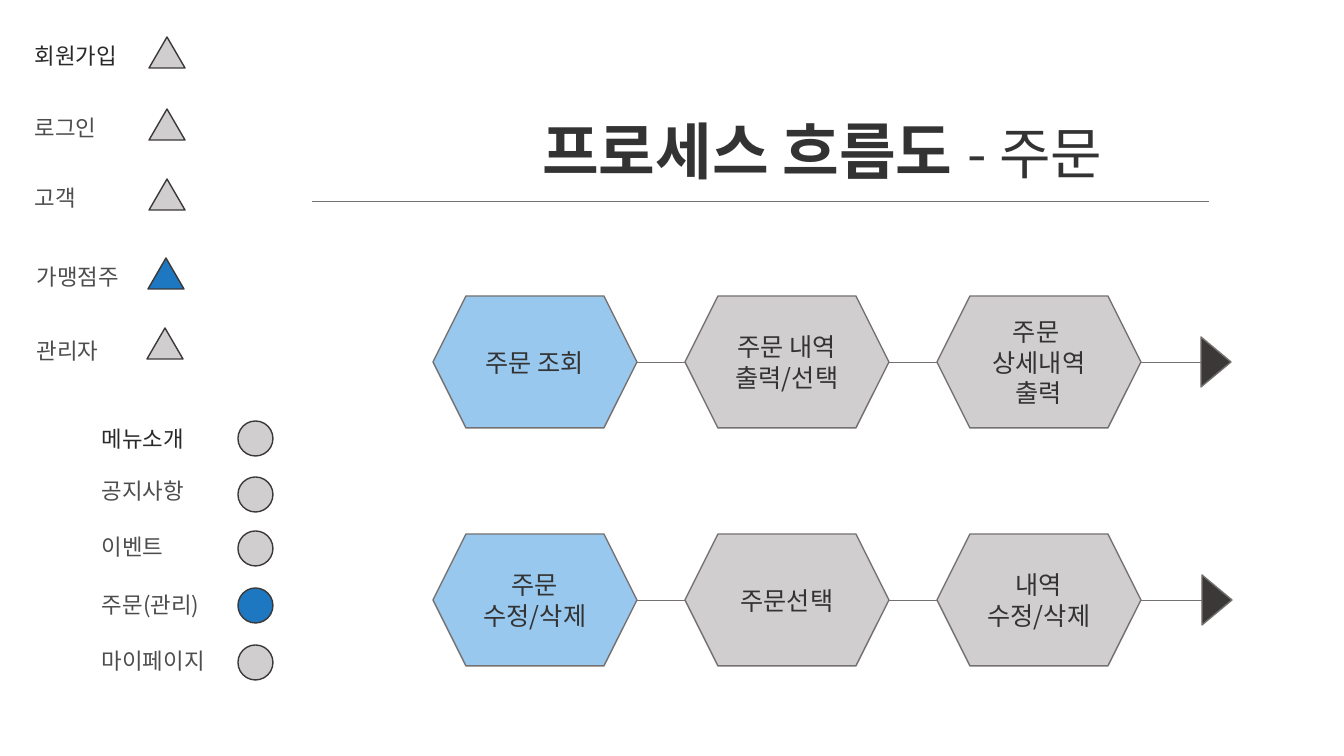
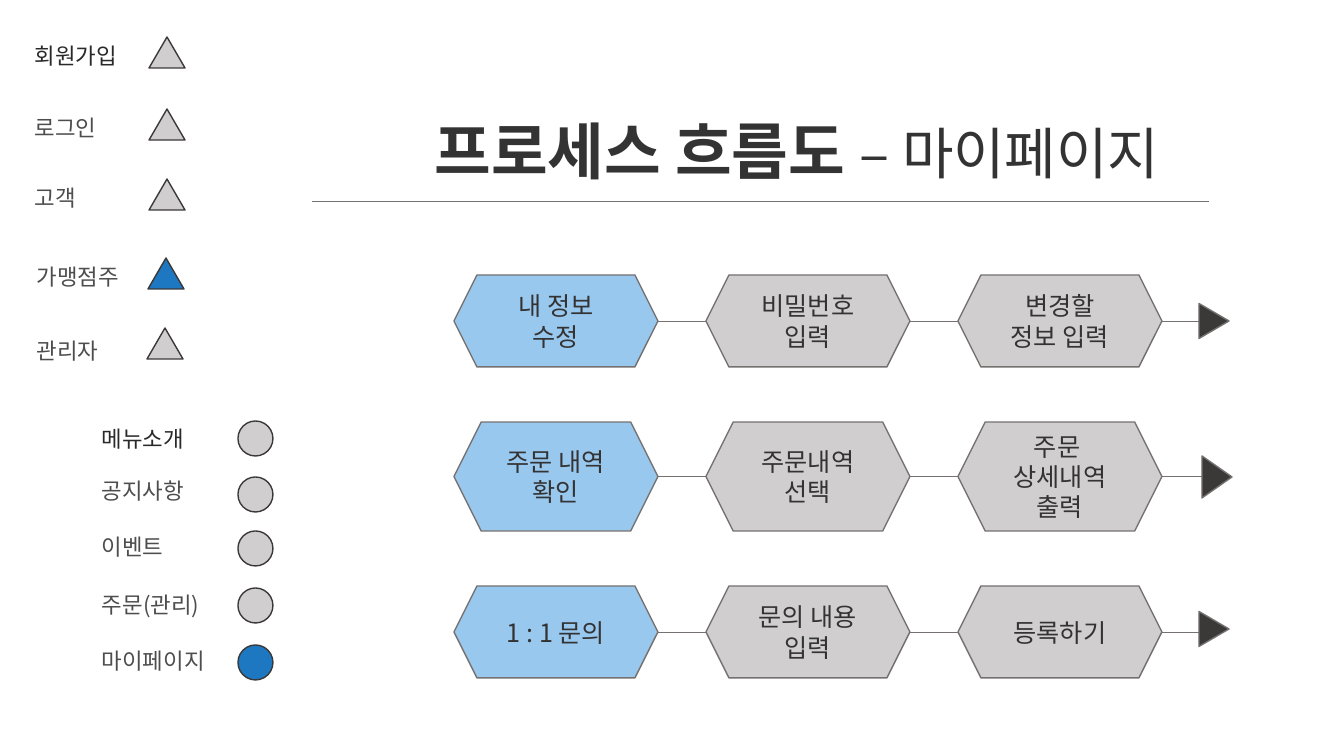
"""Build two order-process flow slides that share a sidebar, a title style and hexagon rows."""
from lxml import etree
from pptx import Presentation
from pptx.dml.color import RGBColor
from pptx.enum.shapes import MSO_CONNECTOR, MSO_SHAPE
from pptx.enum.text import MSO_ANCHOR, MSO_AUTO_SIZE, PP_ALIGN
from pptx.oxml.ns import qn
from pptx.util import Emu, Pt

TRIANGLE = MSO_SHAPE.ISOSCELES_TRIANGLE
OVAL = MSO_SHAPE.OVAL
HEXAGON = MSO_SHAPE.HEXAGON
STRAIGHT = MSO_CONNECTOR.STRAIGHT
CENTER = PP_ALIGN.CENTER
TOP = MSO_ANCHOR.TOP
GROW = MSO_AUTO_SIZE.SHAPE_TO_FIT_TEXT

FONT = "Noto Sans CJK KR"
GRAY = RGBColor(0xD0, 0xCE, 0xCE)
BLUE = RGBColor(0x1D, 0x77, 0xC1)
LIGHT_BLUE = RGBColor(0x99, 0xC8, 0xEF)
CHARCOAL = RGBColor(0x3B, 0x38, 0x38)
RULE_GRAY = RGBColor(0x76, 0x71, 0x71)
INK = RGBColor(0x33, 0x33, 0x33)
LABEL_FIRST = RGBColor(0x29, 0x29, 0x29)
LABEL_GRAY = RGBColor(0x4D, 0x4D, 0x4D)

SLIDE_WIDTH, SLIDE_HEIGHT = 1344, 756
PIXEL = 12192000 / SLIDE_WIDTH
HEX_WIDTH, HEX_PITCH = 204, 252
ARROW_DEPTH = 30

# label, label left, label top, marker left, marker top
ROLES = [
    ("회원가입", 25, 37, 149, 37),
    ("로그인", 25, 109, 149, 109),
    ("고객", 25, 179, 149, 179),
    ("가맹점주", 27, 258, 148, 258),
    ("관리자", 27, 332, 147, 328),
]
MENUS = [
    ("메뉴소개", 92, 420, 238, 421),
    ("공지사항", 92, 472, 238, 477),
    ("이벤트", 92, 528, 238, 531),
    ("주문(관리)", 92, 586, 238, 588),
    ("마이페이지", 92, 642, 238, 645),
]
SIDEBAR = [
    (ROLES, TRIANGLE, (36, 31), 128),
    (MENUS, OVAL, (35, 35), 159),
]

# each row: top, height, (arrow left, arrow middle, arrow height), steps
SLIDES = [
    {
        "topic": "- 주문",
        "title_box": (436, 108, 772, 85),
        "active": ("가맹점주", "주문(관리)"),
        "left": 433,
        "rows": [
            (296, 132, (1201, 362, 50),
             ["주문 조회", "주문 내역\n출력/선택", "주문 \n상세내역\n출력"]),
            (534, 132, (1202, 600, 50),
             ["주문\n수정/삭제", "주문선택", "내역\n수정/삭제"]),
        ],
    },
    {
        "topic": "– 마이페이지",
        "title_box": (384, 108, 826, 85),
        "active": ("가맹점주", "마이페이지"),
        "left": 454,
        "rows": [
            (275, 92, (1199, 321, 35),
             ["내 정보\n수정", "비밀번호\n입력", "변경할\n정보 입력"]),
            (422, 109, (1202, 477, 42),
             ["주문 내역\n확인", "주문내역\n선택", "주문 \n상세내역\n출력"]),
            (586, 92, (1199, 629, 35),
             ["1 : 1 문의", "문의 내용\n입력", "등록하기"]),
        ],
    },
]


def px(length):
    return Emu(round(length * PIXEL))


def style_paragraph(para, color, size=None, align=None):
    para.alignment = align
    para.font.name = FONT
    para.font.size = Pt(size) if size else None
    para.font.color.rgb = color
    defaults = para._p.pPr.find(qn("a:defRPr"))
    etree.SubElement(defaults, qn("a:ea")).set("typeface", FONT)


def add_figure(page, kind, box, fill, edge):
    shape = page.shapes.add_shape(kind, *map(px, box))
    shape.shadow.inherit = False
    shape.fill.solid()
    shape.fill.fore_color.rgb = fill
    shape.line.color.rgb = edge
    shape.line.width = Pt(1)
    return shape


def add_rule(page, start, end, middle):
    rule = page.shapes.add_connector(STRAIGHT, px(start), px(middle), px(end), px(middle))
    rule.line.color.rgb = RULE_GRAY
    rule.line.width = Pt(0.5)
    etree.SubElement(rule._element.spPr, qn("a:effectLst"))


def add_label(page, text, box, color):
    frame = page.shapes.add_textbox(*map(px, box)).text_frame
    frame.word_wrap = True
    frame.auto_size = GROW
    frame.text = text
    style_paragraph(frame.paragraphs[0], color, 16)


def add_sidebar(page, active):
    for entries, kind, size, label_width in SIDEBAR:
        for index, (text, label_left, label_top, left, top) in enumerate(entries):
            fill = BLUE if text in active else GRAY
            add_figure(page, kind, (left, top, *size), fill, CHARCOAL)
            color = LABEL_GRAY if index else LABEL_FIRST
            add_label(page, text, (label_left, label_top, label_width, 37), color)


def add_title(page, topic, box):
    title = page.shapes.title
    title.left, title.top, title.width, title.height = map(px, box)
    frame = title.text_frame
    frame.word_wrap = True
    frame.auto_size = GROW
    frame.vertical_anchor = TOP
    para = frame.paragraphs[0]
    style_paragraph(para, INK, align=CENTER)
    for text, size, bold in (("프로세스 흐름도 ", 44, True), (topic, 40, False)):
        span = para.add_run()
        span.text = text
        span.font.size = Pt(size)
        span.font.bold = bold
    add_rule(page, 312, 1209, 201)


def add_flow(page, left, top, height, arrow, steps):
    arrow_left, arrow_middle, arrow_height = arrow
    lefts = [left + index * HEX_PITCH for index in range(len(steps))]
    for index, (step, start, end) in enumerate(zip(steps, lefts, lefts[1:] + [arrow_left])):
        fill = GRAY if index else LIGHT_BLUE
        hexagon = add_figure(page, HEXAGON, (start, top, HEX_WIDTH, height), fill, RULE_GRAY)
        hexagon.text_frame.text = step
        for para in hexagon.text_frame.paragraphs:
            style_paragraph(para, INK, 18, CENTER)
        add_rule(page, start + HEX_WIDTH, end, top + height / 2)
    box = (arrow_left + (ARROW_DEPTH - arrow_height) / 2,
           arrow_middle - ARROW_DEPTH / 2, arrow_height, ARROW_DEPTH)
    add_figure(page, TRIANGLE, box, CHARCOAL, RULE_GRAY).rotation = 90


deck = Presentation()
deck.slide_width, deck.slide_height = px(SLIDE_WIDTH), px(SLIDE_HEIGHT)
title_only = deck.slide_layouts[5]
for content in SLIDES:
    page = deck.slides.add_slide(title_only)
    add_sidebar(page, content["active"])
    add_title(page, content["topic"], content["title_box"])
    for row in content["rows"]:
        add_flow(page, content["left"], *row)
deck.save("out.pptx")
